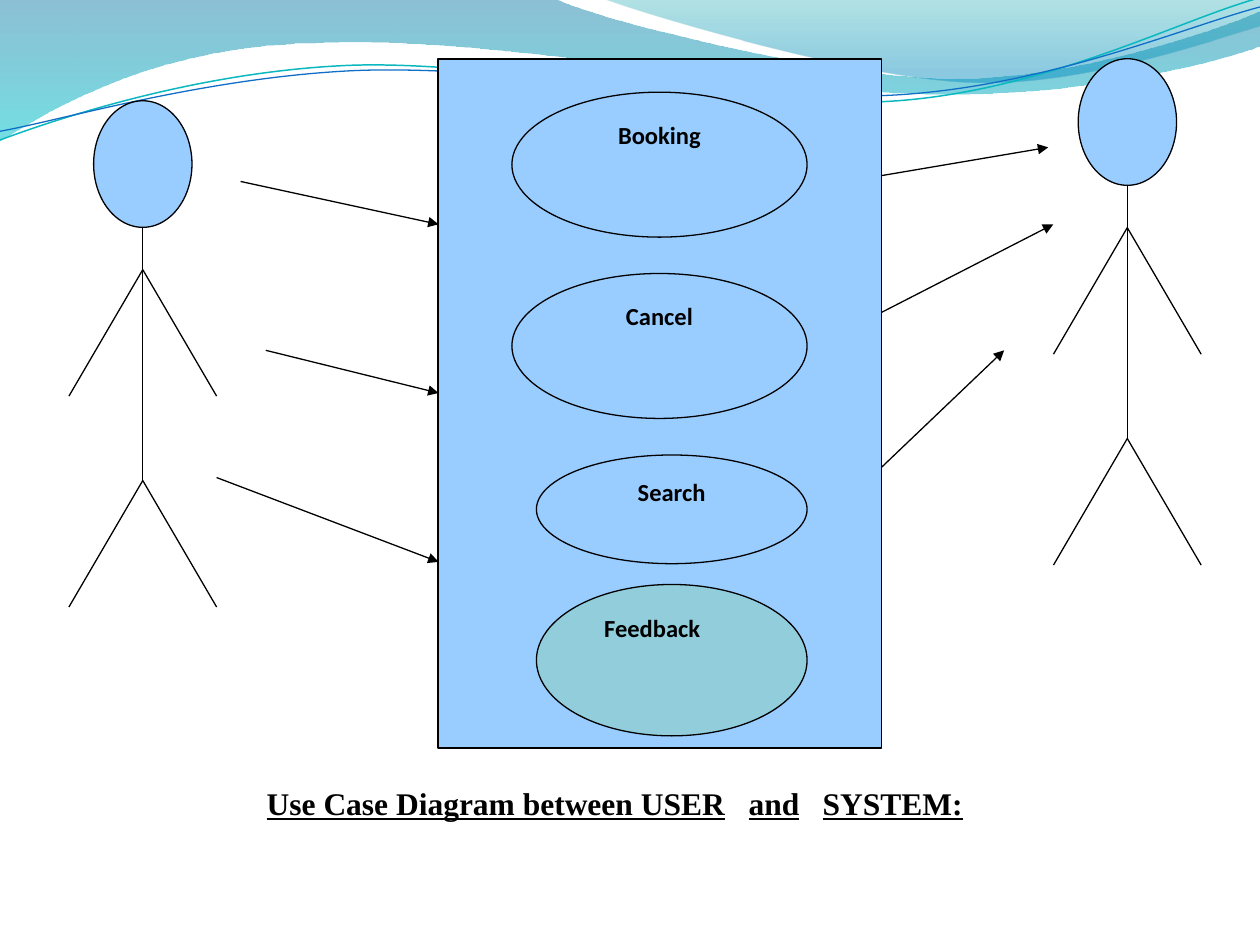
"""Build a use case diagram slide with two actors around a booking system."""
import pptx
import pptx.util
import pptx.dml.color
import pptx.enum.shapes
import pptx.enum.text
import pptx.oxml.ns
from lxml import etree

Pt = pptx.util.Pt
RGBColor = pptx.dml.color.RGBColor
Shape = pptx.enum.shapes.MSO_SHAPE
Align = pptx.enum.text.PP_ALIGN
qn = pptx.oxml.ns.qn

BLACK = RGBColor(0x00, 0x00, 0x00)
SKY = RGBColor(0x99, 0xCC, 0xFF)
TEAL = RGBColor(0x92, 0xCD, 0xDC)
DEEP_BLUE = RGBColor(0x00, 0x74, 0xA1)
CYAN = RGBColor(0x00, 0xC6, 0xCF)
SEA = RGBColor(0x00, 0xA1, 0xA9)
OCEAN = RGBColor(0x00, 0x8B, 0xBF)
TURQUOISE = RGBColor(0x0A, 0xB8, 0xBF)
ROYAL = RGBColor(0x0F, 0x6F, 0xC6)

WIDE_BAND = [
    (0, -0.7), (317, -0.7), (343, 12, 478, 45, 546, 45),
    (614, 45, 690, 18.7, 720, 6.5), (720.7, 26),
    (708, 32, 626, 55, 537, 54), (447, 54, 275, 20, 185, 24.5),
    (93, 25, 33, 60, -0.7, 81),
]
SHORT_BAND = [
    (345, -0.7), (367, 8, 491, 45, 554, 47),
    (616, 50, 692, 23, 720, 15), (720, 0),
]
UPPER_CURVE = [
    (0, 80), (35, 67, 114, 41, 199, 37.4),
    (284, 34, 427, 64, 513, 57.6), (600, 51, 675, 11, 719, -1),
]
LOWER_CURVE = [
    (0, 75), (34, 69, 118, 44, 204, 40.3),
    (290, 37, 430, 60, 516, 54), (602, 48, 678, 15, 720, 4),
]
ARROWS = [
    (137.5, 103.7, 250.6, 128.2), (123.8, 272.9, 250.6, 321.1),
    (458.6, 108, 599, 84.2), (447.1, 321.1, 573.8, 200.2),
    (461.5, 200.2, 601.9, 128.2), (151.9, 200.2, 250.6, 224.6),
]
USE_CASES = [
    ("Booking", 292.5, 52.7, 168.7, 82.8),
    ("Cancel", 292.5, 156.3, 168.7, 82.8),
    ("Search", 306.5, 260, 154.7, 62.1),
]


class Sketch:
    def __init__(self, slide):
        self.slide = slide
        self.line_width = Pt(0.75)
        self.label_font = "Calibri"
        self.label_size = Pt(14)

    def outline(self, steps, closed):
        points = [(Pt(step[i]), Pt(step[i + 1]))
                  for step in steps for i in range(0, len(step), 2)]
        builder = self.slide.shapes.build_freeform(*points[0], scale=1.0)
        builder.add_line_segments(points[1:], close=closed)
        shape = builder.convert_to_shape()
        shape.shadow.inherit = False
        segments = iter(list(shape.element.spPr.iter(qn("a:lnTo"))))
        for step in steps[1:]:
            segment = next(segments)
            if len(step) == 6:
                curve = etree.Element(qn("a:cubicBezTo"))
                segment.addprevious(curve)
                for corner in (segment, next(segments), next(segments)):
                    curve.append(corner[0])
                    corner.getparent().remove(corner)
        return shape

    def band(self, steps, stops):
        shape = self.outline(steps, True)
        shape.line.fill.background()
        shape.fill.gradient()
        shape.fill.gradient_angle = 270
        for stop, (position, color, opacity) in zip(shape.fill.gradient_stops, stops):
            stop.position = position
            stop.color.rgb = color
        colors = shape.element.spPr.iter(qn("a:srgbClr"))
        for element, (position, color, opacity) in zip(list(colors), stops):
            etree.SubElement(element, qn("a:alpha")).set("val", str(opacity * 1000))

    def curve(self, steps, color, width):
        shape = self.outline(steps, False)
        shape.fill.background()
        shape.line.color.rgb = color
        shape.line.width = Pt(width)

    def shape(self, kind, left, top, width, height, color):
        shape = self.slide.shapes.add_shape(kind, Pt(left), Pt(top), Pt(width), Pt(height))
        shape.shadow.inherit = False
        shape.fill.solid()
        shape.fill.fore_color.rgb = color
        shape.line.color.rgb = BLACK
        shape.line.width = self.line_width
        return shape

    def line(self, x1, y1, x2, y2, arrow=False):
        line = self.slide.shapes.add_connector(
            pptx.enum.shapes.MSO_CONNECTOR.STRAIGHT, Pt(x1), Pt(y1), Pt(x2), Pt(y2))
        line.line.color.rgb = BLACK
        line.line.width = self.line_width
        properties = line.element.spPr
        if arrow:
            etree.SubElement(properties.find(qn("a:ln")), qn("a:tailEnd")).set("type", "triangle")
        etree.SubElement(properties, qn("a:effectLst"))

    def actor(self, x, top):
        shoulder, hip, reach, limb = top + 96.5, top + 217, 42.2, 72.3
        self.shape(Shape.OVAL, x - 28.1, top, 56.2, 72.3, SKY)
        self.line(x, top + 72.3, x, hip)
        for joint in (shoulder, hip):
            for side in (-reach, reach):
                self.line(x, joint, x + side, joint + limb)

    def label(self, box, text, align):
        frame = box.text_frame
        frame.word_wrap = True
        frame.vertical_anchor = pptx.enum.text.MSO_ANCHOR.TOP
        para = frame.paragraphs[0]
        para.alignment = align
        para.space_after = Pt(10)
        self.span(para, text, self.label_font, self.label_size)

    def text_box(self, text, left, top, width, height, indent):
        box = self.slide.shapes.add_textbox(Pt(left), Pt(top), Pt(width), Pt(height))
        box.text_frame.margin_left = Pt(indent)
        self.label(box, text, Align.LEFT)

    def span(self, para, text, font, size):
        span = para.add_run()
        span.text = text
        span.font.name = font
        span.font.size = size
        span.font.bold = True
        span.font.color.rgb = BLACK
        return span

    def title(self, text, tabs, left, top, width, height):
        title = self.slide.shapes.title
        title.left, title.top = Pt(left), Pt(top)
        title.width, title.height = Pt(width), Pt(height)
        frame = title.text_frame
        frame.word_wrap = True
        frame.auto_size = pptx.enum.text.MSO_AUTO_SIZE.NONE
        frame.vertical_anchor = pptx.enum.text.MSO_ANCHOR.TOP
        para = frame.paragraphs[0]
        para.alignment = Align.CENTER
        tab_list = etree.SubElement(para._p.get_or_add_pPr(), qn("a:tabLst"))
        for position in tabs:
            tab = etree.SubElement(tab_list, qn("a:tab"))
            tab.set("pos", str(Pt(position)))
            tab.set("algn", "l")
        self.span(para, text, "Times New Roman", Pt(18)).font.underline = True


def main():
    deck = pptx.Presentation()
    deck.slide_width, deck.slide_height = Pt(720), Pt(540)
    sketch = Sketch(deck.slides.add_slide(deck.slide_layouts[5]))
    sketch.band(WIDE_BAND, [(0, DEEP_BLUE, 45), (1, CYAN, 55)])
    sketch.band(SHORT_BAND, [(0, SEA, 30), (0.8, OCEAN, 45)])
    sketch.curve(UPPER_CURVE, TURQUOISE, 0.85)
    sketch.curve(LOWER_CURVE, ROYAL, 0.75)
    sketch.actor(81.6, 57.6)
    sketch.actor(644.2, 33.6)
    for arrow in ARROWS:
        sketch.line(*arrow, arrow=True)
    sketch.shape(Shape.RECTANGLE, 250.2, 33.7, 253.4, 393.8, SKY)
    for name, *place in USE_CASES:
        sketch.label(sketch.shape(Shape.OVAL, *place, SKY), name, Align.CENTER)
    sketch.shape(Shape.OVAL, 306.5, 334, 154.7, 86.5, TEAL)
    sketch.text_box("Feedback", 329.8, 347, 114.5, 59.8, 15.4)
    sketch.title("Use Case Diagram between USER\tand\tSYSTEM:", (275.4, 317.7),
                 44.6, 444.2, 613.4, 46)
    deck.save("out.pptx")


if __name__ == "__main__":
    main()
